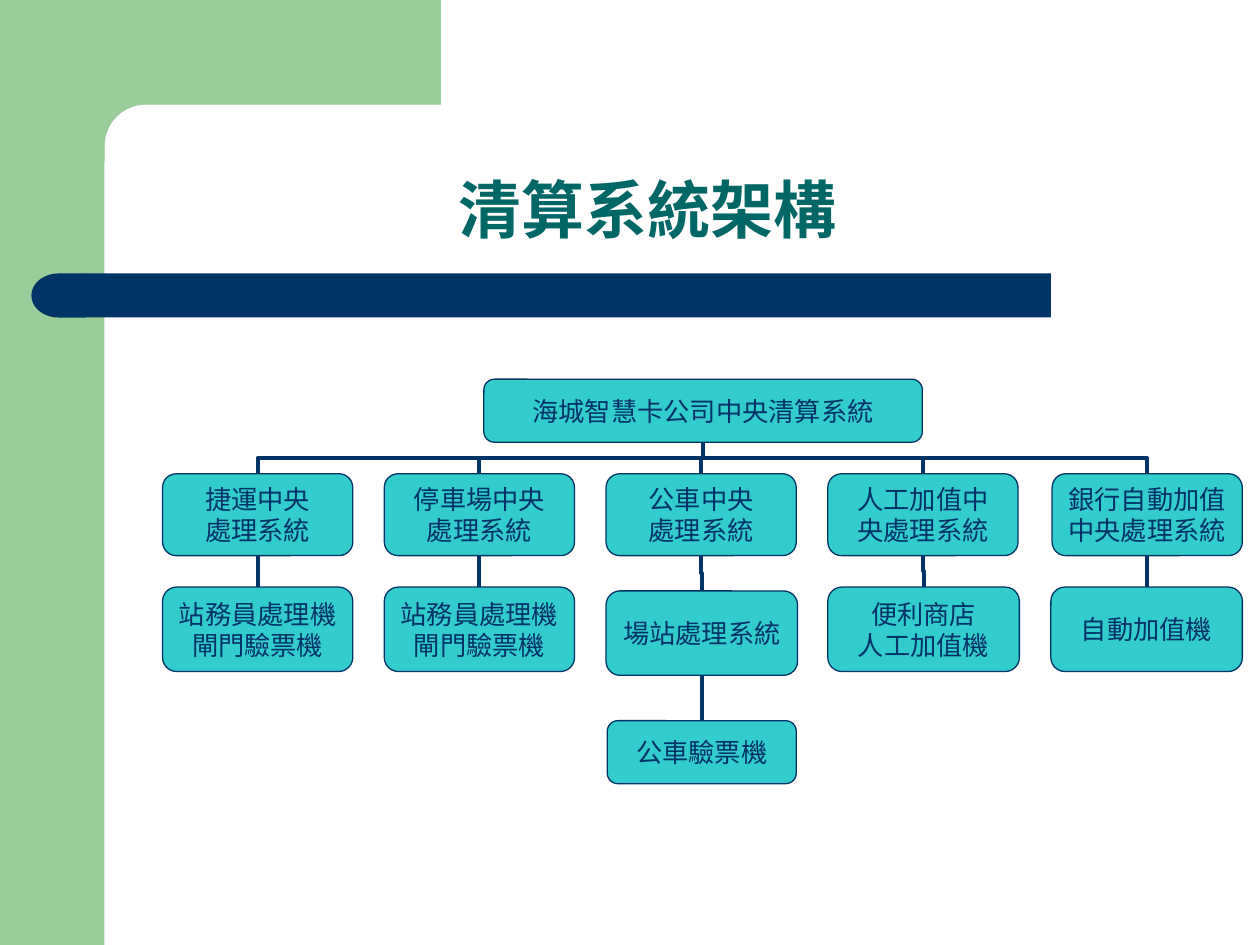
from dataclasses import dataclass
from math import cos, pi, sin

from pptx import Presentation
from pptx.dml.color import RGBColor
from pptx.enum.shapes import MSO_CONNECTOR as Connector, MSO_SHAPE as Shape
from pptx.enum.text import MSO_ANCHOR as Anchor, PP_ALIGN as Align
from pptx.oxml.ns import qn
from pptx.oxml.xmlchemy import OxmlElement
from pptx.util import Emu, Pt

EMU_PER_PX = 9144  # 100 px to the inch
GREEN, NAVY, TEAL, TITLE_GREEN = "99CC99", "003366", "33CCCC", "006666"


@dataclass(frozen=True)
class Node:
    text: str
    left: int
    top: int
    width: int
    height: int
    font: str = "Karla"

    @property
    def center(self) -> float:
        return self.left + self.width / 2

    @property
    def bottom(self) -> int:
        return self.top + self.height


def px(length: float) -> Emu:
    return Emu(round(length * EMU_PER_PX))


def color(hex_code: str) -> RGBColor:
    return RGBColor.from_string(hex_code)


def paint(shape, fill: str) -> None:
    """Give a shape a flat fill without outline or shadow."""
    shape.shadow.inherit = False
    shape.fill.solid()
    shape.fill.fore_color.rgb = color(fill)
    shape.line.fill.background()


def add_block(slide, kind: Shape, left: int, top: int, width: int, height: int, fill: str):
    block = slide.shapes.add_shape(kind, px(left), px(top), px(width), px(height))
    paint(block, fill)
    return block


def add_corner(slide) -> None:
    """Draw the top band, whose inner corner is a quarter circle."""
    center, radius, steps = 116, 33, 16
    angles = [pi / 2 * step / steps for step in range(steps + 1)]
    arc = [(center - radius * sin(a), center - radius * cos(a)) for a in angles]
    outline = [(350, 83), *arc, (83, 128), (50, 128), (50, 0)]
    builder = slide.shapes.build_freeform(px(350), 0)
    builder.add_line_segments([(px(x), px(y)) for x, y in outline], close=True)
    paint(builder.convert_to_shape(), GREEN)


def add_title(slide, text: str) -> None:
    title = slide.shapes.title
    title.left, title.top, title.width, title.height = px(130), px(92), px(767), px(109)
    frame = title.text_frame
    frame.text = text
    frame.vertical_anchor = Anchor.BOTTOM
    paragraph = frame.paragraphs[0]
    paragraph.alignment = Align.CENTER
    paragraph.line_spacing = 0.9
    font = paragraph.runs[0].font
    font.name, font.size, font.bold = "Arial", Pt(36), True
    font.color.rgb = color(TITLE_GREEN)


def add_link(slide, parent: Node, child: Node) -> None:
    """Draw an elbow that leaves the parent downwards: a level one turned by 90 degrees."""
    mid_x = (parent.center + child.center) / 2
    mid_y = (parent.bottom + child.top) / 2
    half_drop = (child.top - parent.bottom) / 2
    half_shift = (parent.center - child.center) / 2
    link = slide.shapes.add_connector(
        Connector.ELBOW,
        px(mid_x - half_drop), px(mid_y - half_shift),
        px(mid_x + half_drop), px(mid_y + half_shift),
    )
    link.line.color.rgb = color(NAVY)
    link.line.width = Pt(2.25)
    properties = link._element.spPr
    properties.find(qn("a:xfrm")).set("rot", "5400000")
    properties.append(OxmlElement("a:effectLst"))


def add_node(slide, node: Node) -> None:
    box = add_block(slide, Shape.ROUNDED_RECTANGLE, node.left, node.top,
                    node.width, node.height, TEAL)
    box.line.color.rgb = color(NAVY)
    box.line.width = Pt(0.75)
    frame = box.text_frame
    frame.text = node.text
    frame.word_wrap = False
    frame.vertical_anchor = Anchor.MIDDLE
    frame.margin_left = frame.margin_right = px(9)
    frame.margin_top = frame.margin_bottom = px(4)
    for paragraph in frame.paragraphs:
        paragraph.alignment = Align.CENTER
        font = paragraph.runs[0].font
        font.name, font.size = node.font, Pt(15)
        font.color.rgb = color(NAVY)


def main() -> None:
    deck = Presentation()
    deck.slide_width, deck.slide_height = px(1000), px(750)
    slide = deck.slides.add_slide(deck.slide_layouts.get_by_name("Title Only"))

    add_block(slide, Shape.RECTANGLE, 0, 0, 83, 750, GREEN)
    add_corner(slide)
    add_block(slide, Shape.RECTANGLE, 67, 217, 767, 35, NAVY)
    bar_end = add_block(slide, Shape.FLOWCHART_DELAY, 25, 217, 43, 35, NAVY)
    bar_end._element.spPr.find(qn("a:xfrm")).set("flipH", "1")
    add_title(slide, "清算系統架構")

    clearing = Node("海城智慧卡公司中央清算系統", 384, 301, 348, 50)
    columns = (129, 305, 481, 657, 835)
    system_names = ("捷運中央\n處理系統", "停車場中央\n處理系統", "公車中央\n處理系統",
                    "人工加值中\n央處理系統", "銀行自動加值\n中央處理系統")
    systems = [Node(name, left, 376, 151, 65) for name, left in zip(system_names, columns)]

    station_machines = "站務員處理機\n閘門驗票機"
    devices = [
        Node(station_machines, columns[0], 466, 151, 67),
        Node(station_machines, columns[1], 466, 151, 67),
        Node("場站處理系統", columns[2], 469, 152, 67, "Arial"),
        Node("便利商店\n人工加值機", columns[3], 466, 152, 67),
        Node("自動加值機", columns[4] - 1, 466, 152, 67),
    ]
    bus_reader = Node("公車驗票機", 482, 572, 150, 50)

    links = [(clearing, system) for system in systems]
    links += [*zip(systems, devices), (devices[2], bus_reader)]
    for parent, child in links:
        add_link(slide, parent, child)
    for node in (clearing, *systems, *devices, bus_reader):
        add_node(slide, node)

    deck.save("out.pptx")


if __name__ == "__main__":
    main()
